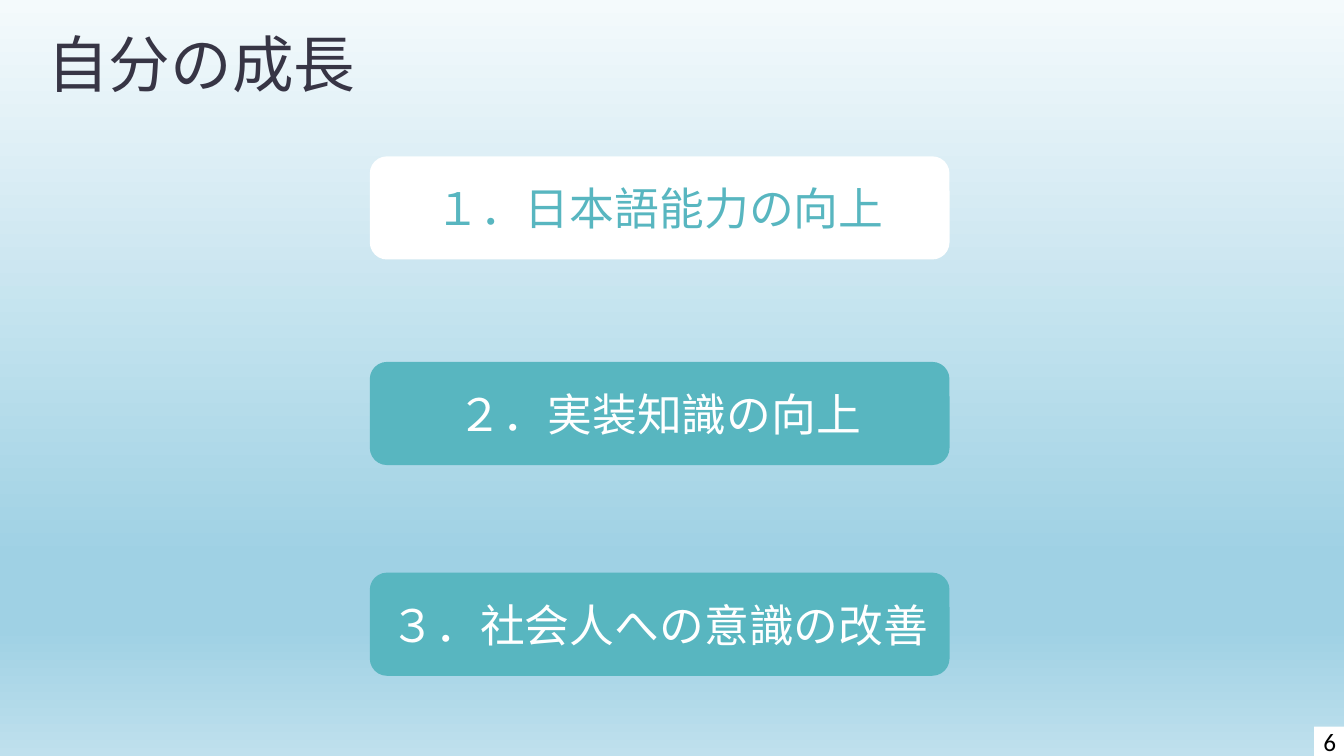
import copy

import pptx
import pptx.dml.color
import pptx.enum.shapes
import pptx.enum.text
import pptx.oxml
import pptx.oxml.ns
import pptx.util
from pptx.util import Cm

ALIGN = pptx.enum.text.PP_ALIGN
ANCHOR = pptx.enum.text.MSO_ANCHOR
SHAPE = pptx.enum.shapes.MSO_SHAPE


def rgb(hex_color):
    return pptx.dml.color.RGBColor.from_string(hex_color)


def write(frame, text, size=32, color="FFFFFF", font="Calibri",
          align=ALIGN.CENTER, anchor=ANCHOR.MIDDLE, spacing=1.0):
    frame.word_wrap = True
    frame.auto_size = pptx.enum.text.MSO_AUTO_SIZE.NONE
    frame.vertical_anchor = anchor
    paragraph = frame.paragraphs[0]
    paragraph.alignment = align
    paragraph.line_spacing = spacing
    run = paragraph.add_run()
    run.text = text
    run.font.size = pptx.util.Pt(size)
    run.font.name = font
    run.font.color.rgb = rgb(color)
    east_asian = pptx.oxml.parse_xml(
        f'<a:ea {pptx.oxml.ns.nsdecls("a")} typeface="{SlideBuilder.JAPANESE}"/>')
    run.font._element.find(pptx.oxml.ns.qn("a:latin")).addnext(east_asian)


class SlideBuilder:
    JAPANESE = "Noto Sans CJK JP"
    TEAL = "58B6C0"
    WHITE = "FFFFFF"
    DARK = "373545"
    SKY = [(0, "F4FAFC"), (0.74, "9FD1E4"), (0.83, "9FD1E4"), (1, "BFE0ED")]

    def __init__(self, presentation):
        title_only = presentation.slide_layouts[5]
        self.slide = presentation.slides.add_slide(title_only)

    def background(self):
        fill = self.slide.background.fill
        fill.gradient()
        fill.gradient_angle = 270
        stop_list = self.slide.element.find(".//" + pptx.oxml.ns.qn("a:gsLst"))
        for _ in range(len(self.SKY) - len(stop_list)):
            stop_list.append(copy.deepcopy(stop_list[0]))
        for stop, (position, color) in zip(fill.gradient_stops, self.SKY):
            stop.position = position
            stop.color.rgb = rgb(color)

    def title(self, text):
        heading = self.slide.shapes.title
        heading.left, heading.top = Cm(0.94), Cm(0.66)
        heading.width, heading.height = Cm(8.41), Cm(1.96)
        write(heading.text_frame, text, size=44, color=self.DARK,
              font=self.JAPANESE, align=ALIGN.LEFT, anchor=ANCHOR.BOTTOM,
              spacing=0.8)

    def box(self, kind, left, top, width, height, fill):
        shape = self.slide.shapes.add_shape(
            kind, Cm(left), Cm(top), Cm(width), Cm(height))
        shape.shadow.inherit = False
        shape.fill.solid()
        shape.fill.fore_color.rgb = rgb(fill)
        shape.line.fill.background()
        return shape.text_frame

    def card(self, text, top, fill, color):
        frame = self.box(SHAPE.ROUNDED_RECTANGLE, 9.32, top, 14.61, 2.6, fill)
        write(frame, text, color=color)

    def page_number(self, number):
        frame = self.box(SHAPE.RECTANGLE, 33.12, 18.31, 0.79, 0.74, self.WHITE)
        frame.margin_left = frame.margin_right = 0
        write(frame, number, size=18, color="000000")


def main():
    presentation = pptx.Presentation()
    presentation.slide_width = Cm(33.87)
    presentation.slide_height = Cm(19.05)

    growth = SlideBuilder(presentation)
    growth.background()
    growth.title("自分の成長")
    growth.card("１．日本語能力の向上", 3.94, growth.WHITE, growth.TEAL)
    growth.card("２．実装知識の向上", 9.12, growth.TEAL, growth.WHITE)
    growth.card("３．社会人への意識の改善", 14.43, growth.TEAL, growth.WHITE)
    growth.page_number("6")

    presentation.save("out.pptx")


if __name__ == "__main__":
    main()
